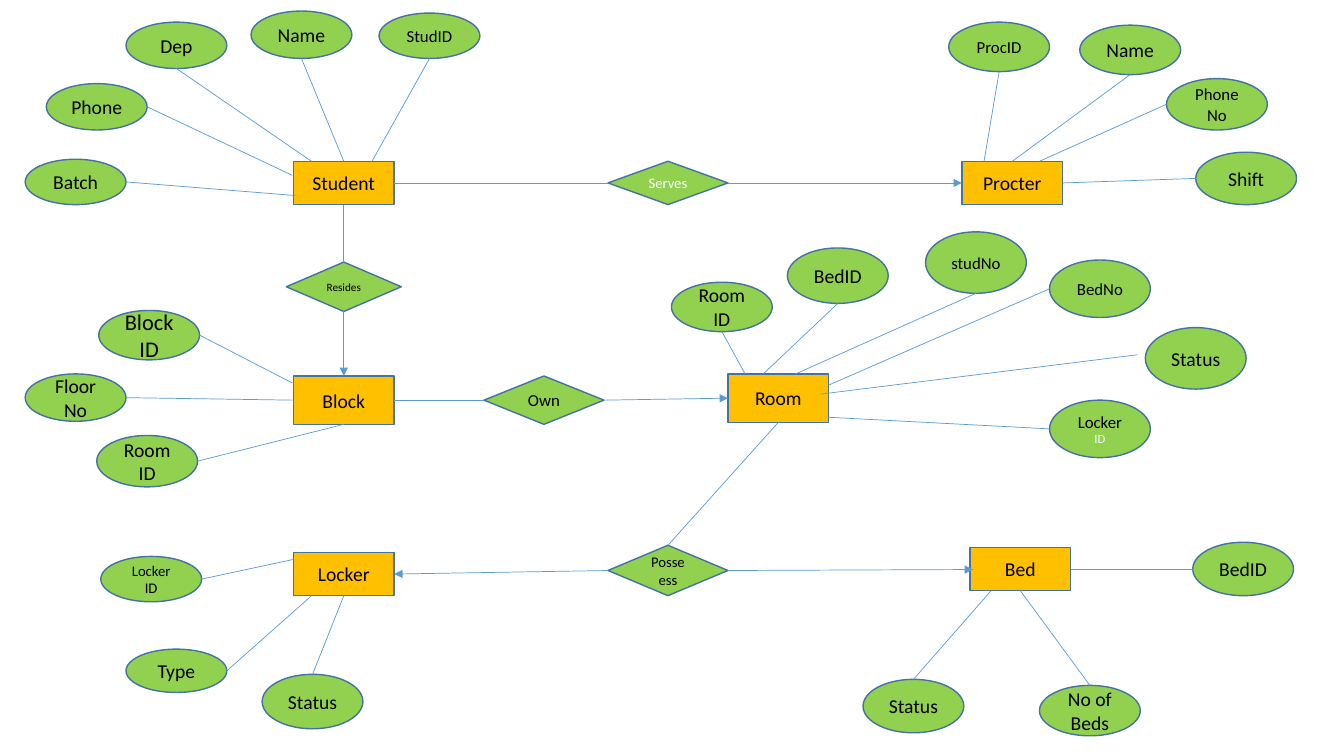
from lxml import etree
from pptx import Presentation
from pptx.dml.color import RGBColor
from pptx.enum import shapes, text
from pptx.oxml.ns import qn
from pptx.util import Inches, Pt

COLORS = {"entity": "FFC000", "green": "92D050", "edge": "43739E",
          "link": "5B9BD5", "black": "000000", "white": "FFFFFF"}
FONT = "Calibri"
WIDE = 1
TOP, LEFT, BOTTOM, RIGHT = range(4)

ENTITIES = [
    ("Student", 2.91, 1.6, 0.43),
    ("Procter", 9.54, 1.6, 0.43),
    ("Block", 2.91, 3.73, 0.48),
    ("Room", 7.22, 3.71, 0.48),
    ("Locker", 2.91, 5.48, 0.43),
    ("Bed", 9.62, 5.43, 0.43),
]
RELATIONS = [
    ("Serves", 10.5, "white", 6.03, 1.6, 1.19, 0.43),
    ("Own", 12, "black", 4.8, 3.73, 1.19, 0.48),
    ("Resides", 8, "black", 2.84, 2.6, 1.14, 0.49),
    ("Posseess", 10.5, "black", 6.03, 5.41, 1.19, 0.5),
]
LINKS = [
    ("Student", RIGHT, "Serves", LEFT, False),
    ("Serves", RIGHT, "Procter", LEFT, True),
    ("Student", BOTTOM, "Resides", TOP, False),
    ("Resides", BOTTOM, "Block", TOP, True),
    ("Block", RIGHT, "Own", LEFT, False),
    ("Own", RIGHT, "Room", LEFT, True),
    ("Room", BOTTOM, "Posseess", TOP, False),
    ("Posseess", LEFT, "Locker", RIGHT, True),
    ("Posseess", RIGHT, "Bed", (9.65, 5.65), True),
]
ATTRIBUTES = {
    "Student": [
        ("Name", 14, 2.49, 0.11, 0.47, BOTTOM, TOP),
        ("Dep", 14, 1.25, 0.22, 0.46, BOTTOM, (3.09, 1.6)),
        ("Phone", 14, 0.46, 0.83, 0.46, RIGHT, (2.9, 1.74)),
        ("StudID", 12, 3.76, 0.13, 0.45, BOTTOM, (3.69, 1.6)),
        ("Batch", 14, 0.25, 1.58, 0.45, RIGHT, (2.93, 1.94)),
    ],
    "Procter": [
        ("Shift", 14, 11.86, 1.51, 0.52, LEFT, RIGHT),
        ("PhoneNo", 12, 11.57, 0.78, 0.51, LEFT, (10.31, 1.6)),
        ("Name", 14, 10.71, 0.25, 0.49, BOTTOM, TOP),
        ("ProcID", 12, 9.41, 0.22, 0.49, BOTTOM, (9.76, 1.6)),
    ],
    "Block": [
        ("BlockID", 16, 0.98, 3.08, 0.49, RIGHT, (2.9, 3.8)),
        ("FloorNo", 14, 0.25, 3.71, 0.47, RIGHT, LEFT),
        ("RoomID", 14, 0.96, 4.32, 0.51, RIGHT, BOTTOM),
    ],
    "Room": [
        ("RoomID", 14, 6.66, 2.8, 0.49, BOTTOM, (7.39, 3.71)),
        ("BedNo", 12, 10.41, 2.58, 0.57, LEFT, (8.22, 3.82)),
        ("BedID", 14, 7.81, 2.46, 0.55, BOTTOM, (7.57, 3.71)),
        ("Status", 14, 11.36, 3.25, 0.61, (11.28, 3.52), (8.14, 3.91)),
        ("studNo", 12, 9.18, 2.3, 0.61, BOTTOM, (7.89, 3.71)),
        ("Locker", 12, 10.41, 3.97, 0.57, LEFT, (8.22, 4.14), (" ID", 9, "white")),
    ],
    "Locker": [
        ("Locker ID", 10.5, 1, 5.52, 0.45, RIGHT, (2.91, 5.55)),
        ("Type", 14, 1.25, 6.44, 0.43, RIGHT, (3.09, 5.91)),
        ("Status", 14, 2.6, 6.69, 0.54, TOP, BOTTOM),
    ],
    "Bed": [
        ("BedID", 14, 11.83, 5.38, 0.53, LEFT, RIGHT),
        ("Status", 14, 8.56, 6.74, 0.53, TOP, (9.83, 5.86)),
        ("No of Beds", 14, 10.31, 6.8, 0.5, TOP, BOTTOM),
    ],
}

deck = Presentation()
deck.slide_width, deck.slide_height = Inches(13.33), Inches(7.5)
slide = deck.slides.add_slide(deck.slide_layouts[6])


def tint(name):
    return RGBColor.from_string(COLORS[name])


def add_node(kind, fill, box, runs):
    node = slide.shapes.add_shape(kind, *map(Inches, box))
    node.shadow.inherit = False
    node.fill.solid()
    node.fill.fore_color.rgb = tint(fill)
    node.line.color.rgb = tint("edge")
    node.line.width = Pt(1)
    frame = node.text_frame
    frame.word_wrap = True
    frame.vertical_anchor = text.MSO_ANCHOR.MIDDLE
    para = frame.paragraphs[0]
    para.alignment = text.PP_ALIGN.CENTER
    for label, size, color in runs:
        run = para.add_run()
        run.text = label
        run.font.name = FONT
        run.font.size = Pt(size)
        run.font.color.rgb = tint(color)
    return node


def locate(node, spot):
    if isinstance(spot, tuple):
        return tuple(map(Inches, spot))
    midx = node.left + node.width // 2
    midy = node.top + node.height // 2
    return {TOP: (midx, node.top), LEFT: (node.left, midy),
            BOTTOM: (midx, node.top + node.height),
            RIGHT: (node.left + node.width, midy)}[spot]


def join(start, out, end, into, arrow=False):
    line = slide.shapes.add_connector(
        shapes.MSO_CONNECTOR.STRAIGHT, *locate(start, out), *locate(end, into))
    line.line.color.rgb = tint("link")
    line.line.width = Pt(0.5)
    if arrow:
        etree.SubElement(line.line._get_or_add_ln(), qn("a:tailEnd"), type="triangle")
    etree.SubElement(line._element.spPr, qn("a:effectLst"))
    for node, spot, glue in ((start, out, line.begin_connect), (end, into, line.end_connect)):
        if isinstance(spot, int) and node.auto_shape_type != shapes.MSO_SHAPE.OVAL:
            glue(node, spot)


nodes = {}
for name, left, top, high in ENTITIES:
    nodes[name] = add_node(shapes.MSO_SHAPE.RECTANGLE, "entity",
                           (left, top, WIDE, high), [(name, 14, "black")])
for name, size, color, *box in RELATIONS:
    nodes[name] = add_node(shapes.MSO_SHAPE.DIAMOND, "green", box, [(name, size, color)])

spokes = []
for owner, items in ATTRIBUTES.items():
    for label, size, left, top, high, out, into, *extra in items:
        oval = add_node(shapes.MSO_SHAPE.OVAL, "green", (left, top, WIDE, high),
                        [(label, size, "black"), *extra])
        spokes.append((oval, out, nodes[owner], into))

for start, out, end, into, arrow in LINKS:
    join(nodes[start], out, nodes[end], into, arrow)
for spoke in spokes:
    join(*spoke)

deck.save("out.pptx")
